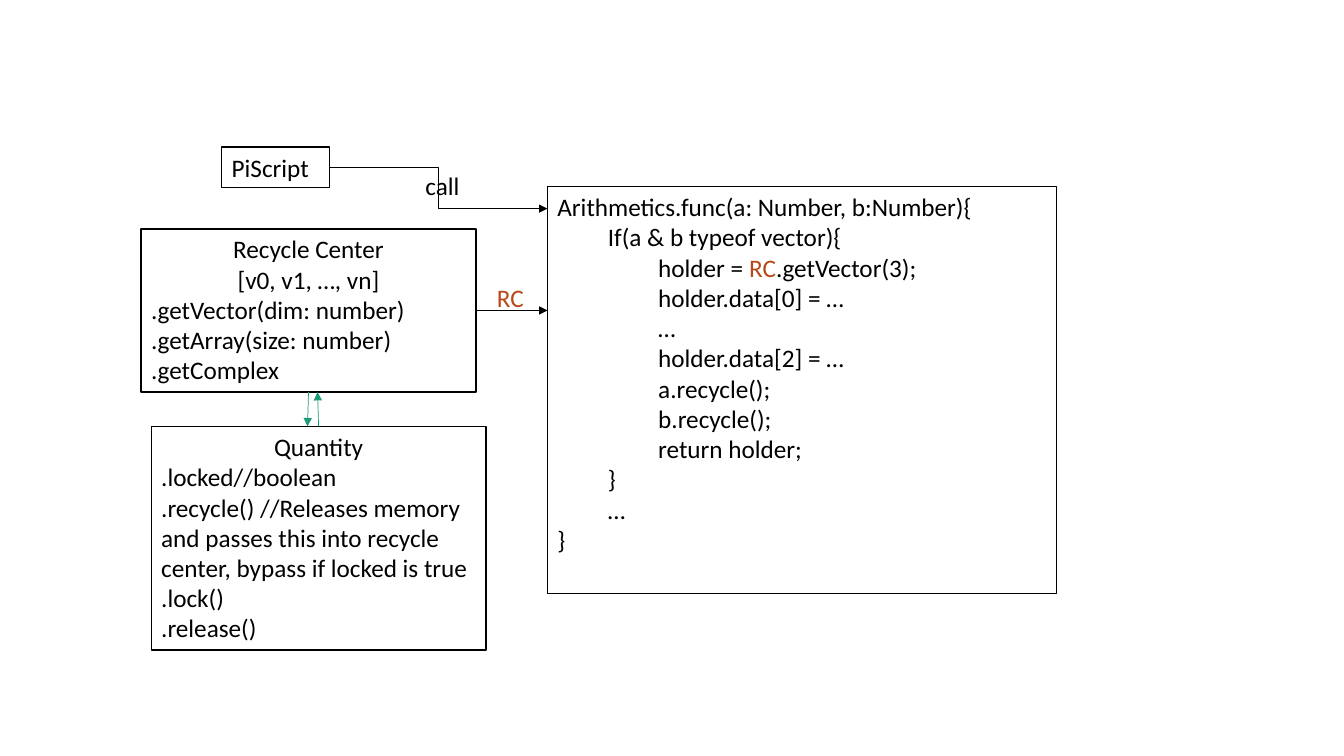
"""Builds a slide that shows how vectors are recycled between three components."""
from lxml import etree
from pptx import Presentation
from pptx.dml.color import RGBColor
from pptx.enum.shapes import MSO_CONNECTOR, MSO_SHAPE
from pptx.enum.text import MSO_ANCHOR, PP_ALIGN
from pptx.oxml.ns import qn
from pptx.util import Inches, Pt

RECT = MSO_SHAPE.RECTANGLE
STRAIGHT, ELBOW = MSO_CONNECTOR.STRAIGHT, MSO_CONNECTOR.ELBOW
TOP = MSO_ANCHOR.TOP
LEFT, CENTER = PP_ALIGN.LEFT, PP_ALIGN.CENTER
TOP_SIDE, BOTTOM_SIDE, RIGHT_SIDE = 0, 2, 3
COLORS = {"black": "000000", "white": "FFFFFF", "rust": "B74919", "green": "1D9A78"}
INDENT = Inches(0.5)

CODE = [
    (0, "Arithmetics.func(a: Number, b:Number){"),
    (1, "If(a & b typeof vector){"),
    (2, "holder = RC.getVector(3);"),
    (2, "holder.data[0] = …"),
    (2, "…"),
    (2, "holder.data[2] = …"),
    (2, "a.recycle();"),
    (2, "b.recycle();"),
    (2, "return holder;"),
    (1, "}"),
    (1, "…"),
    (0, "}"),
]
RECYCLE_CENTER = ["Recycle Center", "[v0, v1, …, vn]", ".getVector(dim: number)",
                  ".getArray(size: number)", ".getComplex"]
QUANTITY = [
    "Quantity",
    ".locked//boolean",
    ".recycle() //Releases memory and passes this into recycle center, "
    "bypass if locked is true",
    ".lock()",
    ".release()",
]


def rgb(name):
    return RGBColor.from_string(COLORS[name])


def add_run(p, text, color):
    r = p.add_run()
    r.text = text
    r.font.name, r.font.size = "Calibri", Pt(18)
    r.font.color.rgb = rgb(color)


def write_lines(tf, lines, centered=0, color="black"):
    tf.word_wrap = True
    tf.vertical_anchor = TOP
    for i, (level, text) in enumerate(lines):
        p = tf.paragraphs[0] if i == 0 else tf.add_paragraph()
        p.alignment = CENTER if i < centered else LEFT
        if level:
            p.level = level
            pPr = p._p.get_or_add_pPr()
            pPr.set("marL", str(INDENT * level))
            pPr.set("indent", "0")
        before, mark, after = text.partition("RC")
        for part, part_color in ((before, color), (mark, "rust"), (after, color)):
            if part:
                add_run(p, part, part_color)


def add_box(s, x, y, w, h, lines, centered=0):
    sp = s.shapes.add_shape(RECT, Inches(x), Inches(y), Inches(w), Inches(h))
    sp.shadow.inherit = False
    sp.fill.solid()
    sp.fill.fore_color.rgb = rgb("white")
    sp.line.color.rgb = rgb("black")
    sp.line.width = Pt(1)
    write_lines(sp.text_frame, lines, centered)
    return sp


def add_label(s, x, y, w, text):
    sp = s.shapes.add_textbox(Inches(x), Inches(y), Inches(w), Inches(0.4))
    write_lines(sp.text_frame, [(0, text)])


def add_arrow(s, source, side, x, y, kind=STRAIGHT, color="black"):
    cxn = s.shapes.add_connector(kind, 0, 0, Inches(x), Inches(y))
    cxn.begin_connect(source, side)
    cxn.line.color.rgb = rgb(color)
    cxn.line.width = Pt(0.5)
    etree.SubElement(cxn.line._get_or_add_ln(), qn("a:tailEnd"), type="triangle")
    etree.SubElement(cxn._element.spPr, qn("a:effectLst"))


def main():
    prs = Presentation()
    prs.slide_width, prs.slide_height = Inches(13.33), Inches(7.5)
    s = prs.slides.add_slide(prs.slide_layouts[6])

    script = add_box(s, 2.2, 1.46, 1.07, 0.4, [(0, "PiScript")])
    add_box(s, 5.43, 1.85, 5.05, 4.04, CODE)
    center = add_box(s, 1.4, 2.27, 3.32, 1.62, [(0, t) for t in RECYCLE_CENTER], 2)
    quantity = add_box(s, 1.5, 4.23, 3.32, 2.22, [(0, t) for t in QUANTITY], 1)

    add_arrow(s, script, RIGHT_SIDE, 5.43, 2.07, ELBOW)
    add_arrow(s, center, BOTTOM_SIDE, 3.05, 4.23, color="green")
    add_arrow(s, quantity, TOP_SIDE, 3.15, 3.89, color="green")
    add_arrow(s, center, RIGHT_SIDE, 5.43, 3.08)

    add_label(s, 4.83, 2.75, 0.63, "RC")
    add_label(s, 4.12, 1.64, 0.58, "call")
    prs.save("out.pptx")


if __name__ == "__main__":
    main()
